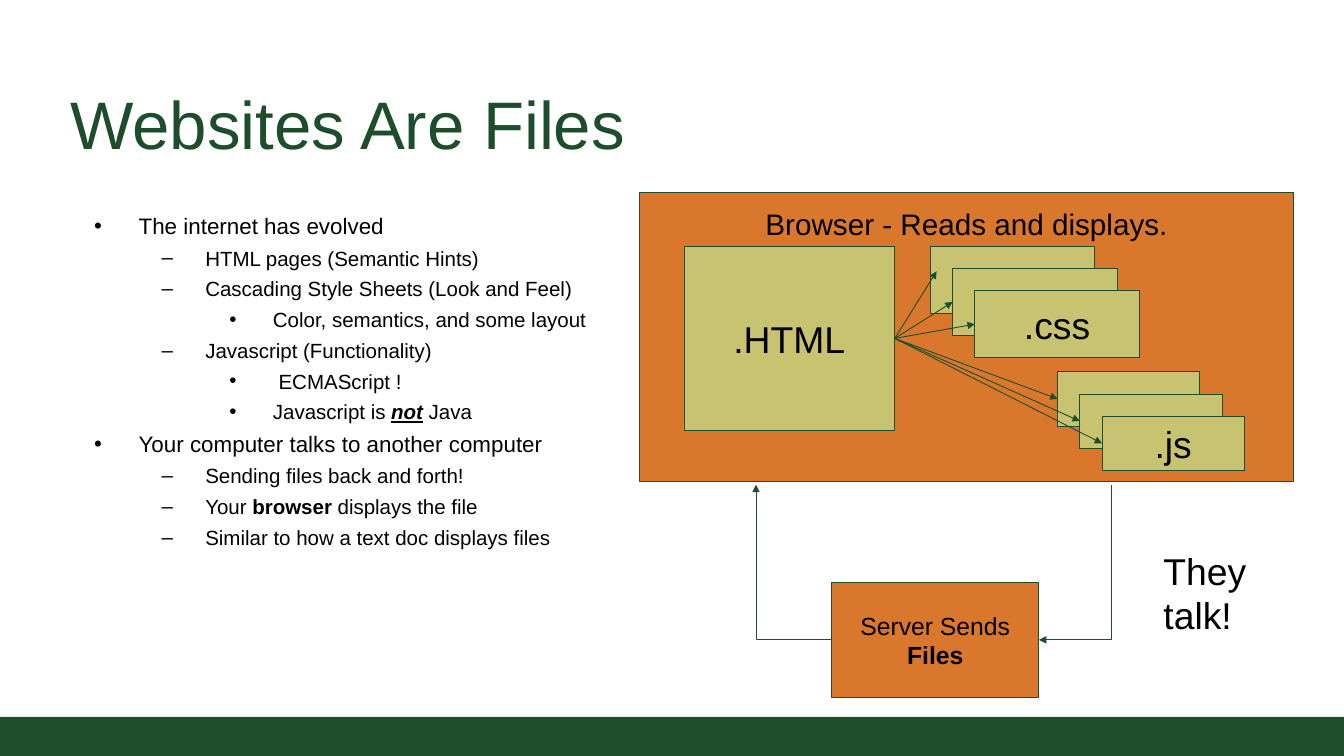
"""Build the slide "Websites Are Files" with its outline and browser diagram."""
from lxml import etree
from pptx import Presentation
from pptx import util as u
from pptx.dml.color import RGBColor
from pptx.enum import shapes, text
from pptx.oxml import ns

PX = 9144
SLIDE = (1511, 850)
GREEN, ORANGE, KHAKI, BLACK = "1E4D2B", "D9782C", "C8C371", "000000"
FONT = "Arial"
TOP, LEFT, RIGHT = 0, 1, 3

TITLE = ("Websites Are Files", (69, 82, 1374, 111))
OUTLINE_BOX = (70, 223, 635, 532)
OUTLINE = [
    (0, ["The internet has evolved"]),
    (1, ["HTML pages (Semantic Hints)"]),
    (1, ["Cascading Style Sheets (Look and Feel)"]),
    (2, ["Color, semantics, and some layout"]),
    (1, ["Javascript (Functionality)"]),
    (2, [" ECMAScript !"]),
    (2, ["Javascript is ", ("not", {"bold": True, "italic": True, "underline": True}), " Java"]),
    (0, ["Your computer talks to another computer"]),
    (1, ["Sending files back and forth!"]),
    (1, ["Your ", ("browser", {"bold": True}), " displays the file"]),
    (1, ["Similar to how a text doc displays files"]),
]
LEVELS = [("•", 76, 50, 18.1), ("–", 151, 49, 16.6), ("•", 227, 49, 16.6)]

FOOTER = (0, 806, 1511, 44)
BROWSER = (["Browser - Reads and displays."], (719, 216, 735, 325))
HTML = ([".HTML"], (769, 277, 237, 207))
STACKS = [(".css", (1046, 277, 185, 75)), (".js", (1189, 418, 160, 61))]
STACK_SIZE, STACK_STEP = 3, 25
FIRST_CSS_TIP = (1053, 305)
SERVER = (["Server Sends ", ("Files", {"bold": True})], (935, 655, 233, 129))
SERVER_LINKS = [(LEFT, (850, 545), "tailEnd"), (RIGHT, (1250, 545), "headEnd")]
TALK = (["They talk!"], (1293, 601, 171, 61))


def px(*lengths):
    return [u.Emu(length * PX) for length in lengths]


def color(value):
    return RGBColor.from_string(value)


def apply(target, formats):
    for name, value in formats.items():
        setattr(target, name, value)


def add_runs(paragraph, runs, size, font_color=BLACK):
    for item in runs:
        content, extra = (item, {}) if isinstance(item, str) else item
        run = paragraph.add_run()
        run.text = content
        apply(run.font, {"name": FONT, "size": u.Pt(size), **extra})
        run.font.color.rgb = color(font_color)


def set_frame(shape, inset, anchor):
    margins = {f"margin_{side}": u.Emu(inset * PX) for side in ("left", "top", "right", "bottom")}
    apply(shape.text_frame, {"word_wrap": True, "auto_size": text.MSO_AUTO_SIZE.NONE,
                             "vertical_anchor": anchor, **margins})
    return shape.text_frame


def add_box(slide, box, fill, runs=(), size=30.2, anchor=text.MSO_ANCHOR.MIDDLE):
    shape = slide.shapes.add_shape(shapes.MSO_SHAPE.RECTANGLE, *px(*box))
    shape.shadow.inherit = False
    shape.fill.solid()
    shape.fill.fore_color.rgb = color(fill)
    shape.line.color.rgb = color(GREEN)
    shape.line.width = u.Pt(0.75)
    if runs:
        paragraph = set_frame(shape, 15, anchor).paragraphs[0]
        paragraph.alignment = text.PP_ALIGN.CENTER
        add_runs(paragraph, runs, size)
    return shape


def add_arrow(slide, kind, source, side, tip, end="tailEnd"):
    left, top, width, height = source.left, source.top, source.width, source.height
    start = (left + (width if side == RIGHT else 0), top + height // 2)
    connector = slide.shapes.add_connector(kind, *start, *tip)
    connector.begin_connect(source, side)
    connector.line.color.rgb = color(GREEN)
    connector.line.width = u.Pt(0.75)
    properties = connector._element.spPr
    etree.SubElement(properties.find(ns.qn("a:ln")), ns.qn(f"a:{end}"), type="triangle")
    etree.SubElement(properties, ns.qn("a:effectLst"))
    if kind == shapes.MSO_CONNECTOR.ELBOW:
        properties.find(ns.qn("a:prstGeom")).set("prst", "bentConnector2")
    return connector


def add_title(slide):
    content, box = TITLE
    title = slide.shapes.title
    apply(title, dict(zip(("left", "top", "width", "height"), px(*box))))
    paragraph = set_frame(title, 10, text.MSO_ANCHOR.BOTTOM).paragraphs[0]
    paragraph.alignment = text.PP_ALIGN.LEFT
    add_runs(paragraph, [content], 54.4, GREEN)


def add_outline(slide):
    frame = set_frame(slide.shapes.add_textbox(*px(*OUTLINE_BOX)), 10, text.MSO_ANCHOR.TOP)
    for index, (level, runs) in enumerate(OUTLINE):
        bullet, margin, hanging, size = LEVELS[level]
        paragraph = frame.add_paragraph() if index else frame.paragraphs[0]
        apply(paragraph, {"level": level, "line_spacing": 1.2, "space_before": u.Pt(1)})
        properties = paragraph._p.get_or_add_pPr()
        properties.set("marL", str(margin * PX))
        properties.set("indent", str(-hanging * PX))
        bullet_color = etree.SubElement(properties, ns.qn("a:buClr"))
        etree.SubElement(bullet_color, ns.qn("a:srgbClr"), val=BLACK)
        etree.SubElement(properties, ns.qn("a:buFont"), typeface=FONT)
        etree.SubElement(properties, ns.qn("a:buChar"), char=bullet)
        add_runs(paragraph, runs, size)


def add_browser(slide):
    runs, box = BROWSER
    add_box(slide, box, ORANGE, runs, 24, text.MSO_ANCHOR.TOP)
    runs, box = HTML
    html = add_box(slide, box, KHAKI, runs)
    for label, (left, top, width, height) in STACKS:
        for index in range(STACK_SIZE):
            shift = index * STACK_STEP
            runs = [label] if index == STACK_SIZE - 1 else []
            card = add_box(slide, (left + shift, top + shift, width, height), KHAKI, runs)
            arrow = add_arrow(slide, shapes.MSO_CONNECTOR.STRAIGHT, html, RIGHT, px(*FIRST_CSS_TIP))
            if index or label != ".css":
                arrow.end_connect(card, LEFT)


def add_server(slide):
    runs, box = SERVER
    server = add_box(slide, box, ORANGE, runs, 20)
    for side, tip, end in SERVER_LINKS:
        add_arrow(slide, shapes.MSO_CONNECTOR.ELBOW, server, side, px(*tip), end)
    runs, box = TALK
    frame = set_frame(slide.shapes.add_textbox(*px(*box)), 15, text.MSO_ANCHOR.TOP)
    add_runs(frame.paragraphs[0], runs, 30.2)


def main():
    presentation = Presentation()
    presentation.slide_width, presentation.slide_height = px(*SLIDE)
    slide = presentation.slides.add_slide(presentation.slide_layouts[5])
    footer = add_box(slide, FOOTER, GREEN)
    footer.line.fill.background()
    add_title(slide)
    add_outline(slide)
    add_browser(slide)
    add_server(slide)
    presentation.save("out.pptx")


if __name__ == "__main__":
    main()
